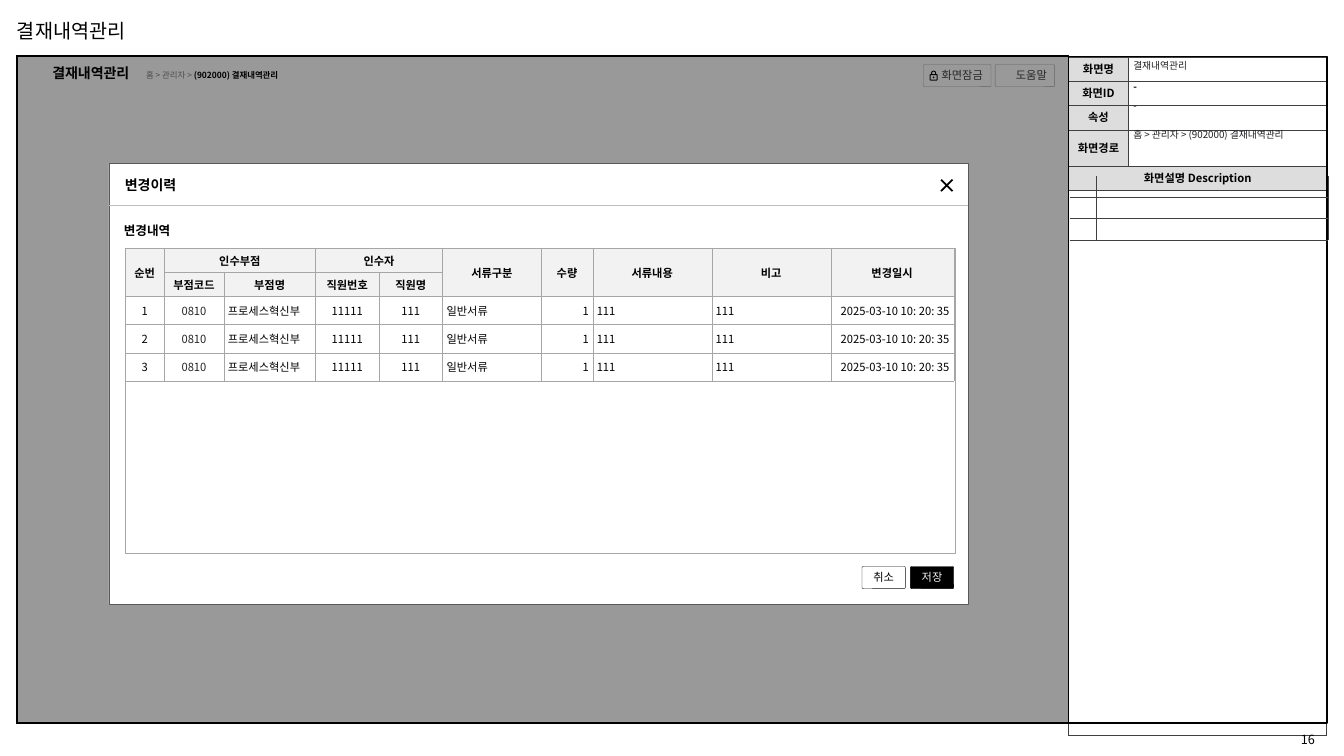
from lxml import etree
from pptx import Presentation
from pptx.dml.color import RGBColor
from pptx.enum.shapes import MSO_CONNECTOR, MSO_SHAPE as Shape
from pptx.enum.text import MSO_ANCHOR as Anchor, PP_ALIGN as Align
from pptx.oxml.ns import qn
from pptx.util import Inches, Pt

FONT = "Noto Sans CJK KR"
NO_GRID_STYLE = "{2D5ABB26-0587-4C30-8999-92F81FD0307C}"
BLACK, WHITE = RGBColor(0, 0, 0), RGBColor(255, 255, 255)
INK = RGBColor(0x0D, 0x0D, 0x0D)
SOFT_BLACK = RGBColor(0x26, 0x26, 0x26)
NAVY_GRAY = RGBColor(0x20, 0x21, 0x24)
DARK_GRAY = RGBColor(0x40, 0x40, 0x40)
EDGE_GRAY = RGBColor(0x59, 0x59, 0x59)
MID_GRAY = RGBColor(0x7F, 0x7F, 0x7F)
GRID_GRAY = RGBColor(0xA6, 0xA6, 0xA6)
RULE_GRAY = RGBColor(0xBF, 0xBF, 0xBF)
LABEL_GRAY = RGBColor(0xDD, 0xDD, 0xDD)
PALE_GRAY = RGBColor(0xF2, 0xF2, 0xF2)

# Content
TITLE = "결재내역관리"
CRUMB_START, CRUMB_END = "홈 > 관리자 > ", "(902000) 결재내역관리"
INFO_LABELS = ["화면명", "화면ID", "속성", "화면경로", "화면설명 Description"]
INFO_VALUES = [  # top, text, bold, colour, anchor
    (0.54, TITLE, False, NAVY_GRAY, Anchor.MIDDLE),
    (0.75, "-", True, BLACK, Anchor.TOP),
    (0.94, "-", False, NAVY_GRAY, Anchor.MIDDLE),
    (1.22, CRUMB_START + CRUMB_END, False, NAVY_GRAY, Anchor.MIDDLE),
]
TOOL_BUTTONS = [(9.16, 0.67, "화면잠금", 0.1), (9.87, 0.59, "도움말", 0.13)]
DIALOG_BUTTONS = [(9.03, "저장", BLACK, BLACK, PALE_GRAY),
                  (8.55, "취소", WHITE, INK, BLACK)]
HEADERS = [  # row, column, rows spanned, columns spanned, text
    (0, 0, 2, 1, "순번"), (0, 1, 1, 2, "인수부점"), (0, 3, 1, 2, "인수자"),
    (0, 5, 2, 1, "서류구분"), (0, 6, 2, 1, "수량"), (0, 7, 2, 1, "서류내용"),
    (0, 8, 2, 1, "비고"), (0, 9, 2, 1, "변경일시"),
    (1, 1, 1, 1, "부점코드"), (1, 2, 1, 1, "부점명"),
    (1, 3, 1, 1, "직원번호"), (1, 4, 1, 1, "직원명"),
]
RECORD = ["0810", "프로세스혁신부", "11111", "111", "일반서류", "1", "111", "111",
          "2025-03-10 10: 20: 35"]
RECORDS = [[str(number)] + RECORD for number in (1, 2, 3)]
ALIGNMENTS = [{"l": Align.LEFT, "c": Align.CENTER, "r": Align.RIGHT}[key]
              for key in "cclcclrllr"]
HISTORY_COLUMNS = [0.39, 0.59, 0.91, 0.63, 0.63, 0.98, 0.51, 1.18, 1.18, 1.22]
HISTORY_ROWS = [0.24, 0.24, 0.28, 0.28, 0.28]
LOCK_OUTLINES = [  # thousandths of an inch: body with shackle, shackle hole, body hole, keyhole
    [(65, 35), (65, 22), (58, 8), (40, 0), (22, 8), (15, 22), (15, 35), (8, 35), (0, 43),
     (0, 92), (8, 100), (72, 100), (80, 92), (80, 43), (72, 35)],
    [(40, 10), (51, 15), (55, 22), (55, 35), (25, 35), (25, 22), (29, 15)],
    [(70, 90), (10, 90), (10, 45), (70, 45)],
    [(40, 77), (49, 68), (40, 58), (31, 68)],
]

deck = Presentation()
deck.slide_width, deck.slide_height = Inches(13.33), Inches(7.5)
page = deck.slides.add_slide(deck.slide_layouts[6])


def style_font(font, size, color, bold=False):
    font.size, font.bold, font.name = Pt(size), bold, FONT
    font.color.rgb = color
    etree.SubElement(font._element, qn("a:ea")).set("typeface", FONT)


def write(frame, text, size, color, bold=False, align=Align.LEFT):
    para = frame.paragraphs[0]
    para.alignment = align
    para.add_run().text = text
    style_font(para.font, size, color, bold)
    return para


def add_text(area, text, size, color, bold=False, anchor=Anchor.TOP, inset=0.1,
             align=Align.LEFT):
    frame = page.shapes.add_textbox(*map(Inches, area)).text_frame
    frame.word_wrap, frame.vertical_anchor = True, anchor
    frame.margin_left = frame.margin_right = Inches(inset)
    if text:
        write(frame, text, size, color, bold, align)
    return frame


def add_box(area, fill, line, width=0.25, kind=Shape.RECTANGLE, adjust=None):
    box = page.shapes.add_shape(kind, *map(Inches, area))
    box.shadow.inherit = False
    if adjust is not None:
        box.adjustments[0] = adjust
    paint(box.fill, fill)
    if line is None:
        box.line.fill.background()
    else:
        box.line.color.rgb, box.line.width = line, Pt(width)
    return box


def paint(fill, color):
    if color is None:
        fill.background()
    else:
        fill.solid()
        fill.fore_color.rgb = color


def add_button(left, top, width, text, fill, line, color, shift=0):
    box = add_box((left, top, width, 0.22), fill, line, 0.25, Shape.ROUNDED_RECTANGLE, 0.058)
    frame = box.text_frame
    frame.vertical_anchor = Anchor.MIDDLE
    frame.margin_left, frame.margin_bottom = Inches(shift), Inches(0.01)
    frame.margin_right = frame.margin_top = 0
    write(frame, text, 8, color, align=Align.CENTER)


def add_grid(left, top, columns, rows, color, width, sides):
    area = map(Inches, (left, top, sum(columns), sum(rows)))
    table = page.shapes.add_table(len(rows), len(columns), *area).table
    table.first_row = table.horz_banding = False
    table._tbl.tblPr.find(qn("a:tableStyleId")).text = NO_GRID_STYLE
    for column, size in zip(table.columns, columns):
        column.width = Inches(size)
    for row, size in zip(table.rows, rows):
        row.height = Inches(size)
    for cell in table.iter_cells():
        cell.fill.background()
        cell.vertical_anchor = Anchor.MIDDLE
        cell.margin_left = cell.margin_right = Inches(0.04)
        cell.margin_top = cell.margin_bottom = Inches(0.04)
        end = etree.SubElement(cell.text_frame.paragraphs[0]._p, qn("a:endParaRPr"))
        end.set("sz", "600")
        for place, side in enumerate(sides):
            edge = etree.Element(qn("a:ln" + side), w=str(Pt(width)))
            solid = etree.SubElement(edge, qn("a:solidFill"))
            etree.SubElement(solid, qn("a:srgbClr")).set("val", str(color))
            cell._tc.tcPr.insert(place, edge)
    return table


# Screen information panel
info = add_grid(10.6, 0.57, [0.59, 1.97], [0.24, 0.24, 0.24, 0.36, 0.24, 5.41],
                DARK_GRAY, 0.5, "LRTB")
for row in (4, 5):
    info.cell(row, 0).merge(info.cell(row, 1))
for row, label in enumerate(INFO_LABELS):
    cell = info.cell(row, 0)
    paint(cell.fill, LABEL_GRAY)
    write(cell.text_frame, label, 8, BLACK, True, Align.CENTER).line_spacing = 0.8

# Page frame and tool buttons
add_text((12.44, 7.18, 0.69, 0.31), "16", 9, BLACK, anchor=Anchor.MIDDLE, inset=0.09,
         align=Align.RIGHT)
add_box((0.17, 0.56, 12.99, 6.61), None, BLACK, 1.3)
for left, width, text, shift in TOOL_BUTTONS:
    add_button(left, 0.64, width, text, WHITE, GRID_GRAY, DARK_GRAY, shift)

builder = page.shapes.build_freeform(*LOCK_OUTLINES[0][0], scale=Inches(0.001))
for number, outline in enumerate(LOCK_OUTLINES):
    if number:
        builder.move_to(*outline[0])
    builder.add_line_segments(outline[1:], close=True)
lock = builder.convert_to_shape(Inches(9.22), Inches(0.7))
lock.shadow.inherit = False
paint(lock.fill, INK)
lock.line.fill.background()

# Titles and panel values
for top, text, bold, color, anchor in INFO_VALUES:
    add_text((11.2, top, 1.97, 0.22), text, 7, color, bold, anchor, 0.04)
add_text((0.07, 0.14, 1.35, 0.34), TITLE, 14, BLACK)
add_grid(10.61, 1.75, [0.26, 2.3], [0.21] * 3, DARK_GRAY, 0.5, "RB")
crumbs = add_text((1.35, 0.63, 5.78, 0.24), "", 6, BLACK, anchor=Anchor.MIDDLE)
for text, color, bold in ((CRUMB_START, MID_GRAY, False), (CRUMB_END, BLACK, True)):
    span = crumbs.paragraphs[0].add_run()
    span.text = text
    style_font(span.font, 6, color, bold)
add_text((0.42, 0.59, 1.02, 0.27), TITLE, 10, BLACK, True)

# Dimmed backdrop
backdrop = add_box((0.16, 0.55, 10.44, 6.63), BLACK, BLACK)
tint = backdrop._element.spPr.find(qn("a:solidFill"))[0]
etree.SubElement(tint, qn("a:alpha")).set("val", "40000")

# Dialog
add_box((1.08, 1.62, 8.52, 4.37), WHITE, EDGE_GRAY, 0.25, Shape.ROUNDED_RECTANGLE, 0)
add_text((1.14, 1.7, 0.75, 0.27), "변경이력", 10, BLACK, True)
rule = page.shapes.add_connector(MSO_CONNECTOR.STRAIGHT, *map(Inches, (1.08, 2.04, 9.6, 2.04)))
rule.line.color.rgb, rule.line.width = RULE_GRAY, Pt(0.25)
etree.SubElement(rule._element.spPr, qn("a:effectLst"))
close_mark = add_box((9.31, 1.76, 0.16, 0.16), BLACK, None, kind=Shape.CROSS, adjust=0.446)
close_mark.rotation = 45
add_text((1.13, 2.16, 0.69, 0.25), "변경내역", 9, BLACK, True)

# Change history
history = add_grid(1.24, 2.46, HISTORY_COLUMNS, HISTORY_ROWS, GRID_GRAY, 0.25, "LRTB")
for row, column, down, across, text in HEADERS:
    cell = history.cell(row, column)
    if down * across > 1:
        cell.merge(history.cell(row + down - 1, column + across - 1))
    paint(cell.fill, PALE_GRAY)
    write(cell.text_frame, text, 8, BLACK, True, Align.CENTER)
for row, record in enumerate(RECORDS, 2):
    for column, (text, align) in enumerate(zip(record, ALIGNMENTS)):
        color = SOFT_BLACK if column == 1 else BLACK
        write(history.cell(row, column).text_frame, text, 8, color, align=align)

for left, text, fill, line, color in DIALOG_BUTTONS:
    add_button(left, 5.62, 0.43, text, fill, line, color)
add_box((1.24, 2.46, 8.23, 3.03), None, GRID_GRAY)

deck.save("out.pptx")
